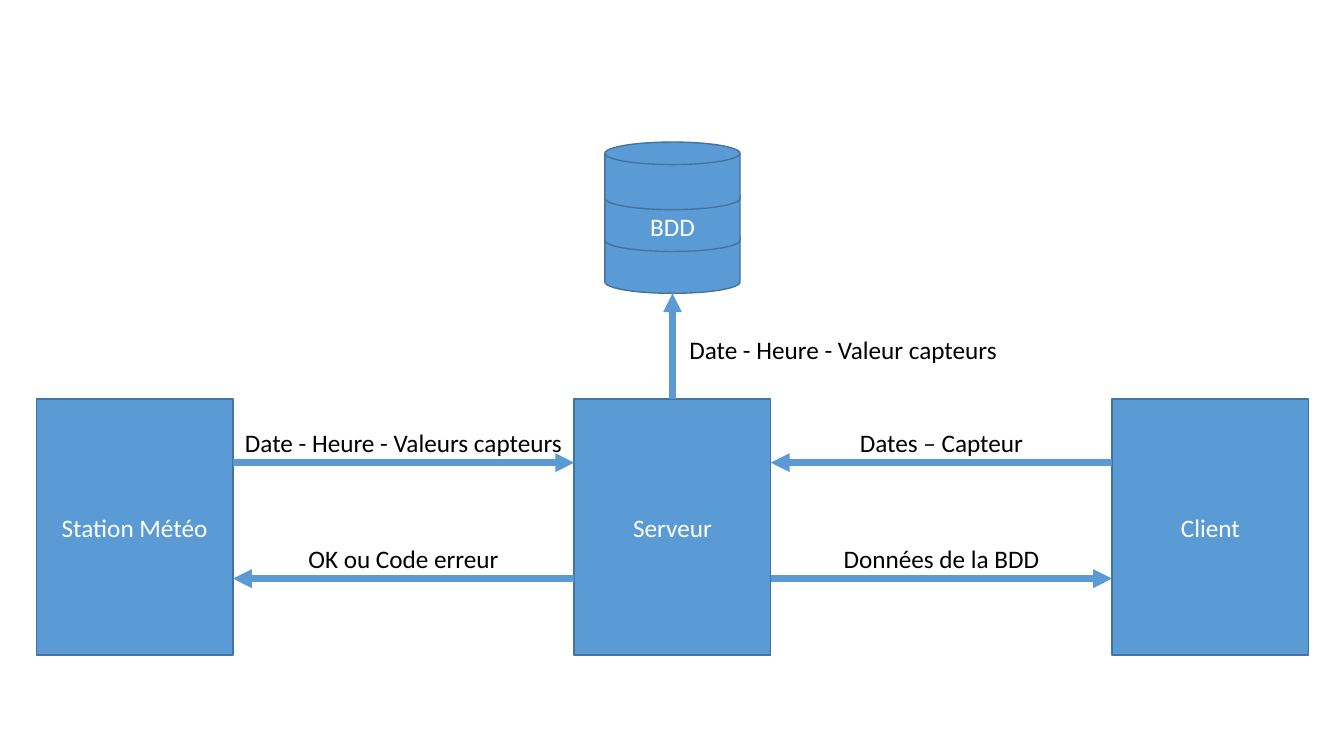
"""Draw the data flow between weather station, server, database and client."""
from lxml.etree import SubElement
from pptx import Presentation
from pptx.dml.color import RGBColor
from pptx.enum.shapes import MSO_CONNECTOR as Link, MSO_SHAPE as Shape
from pptx.enum.text import MSO_ANCHOR as Anchor, PP_ALIGN as Align
from pptx.oxml.ns import qn
from pptx.util import Inches, Pt

BLUE = RGBColor(0x5B, 0x9B, 0xD5)
EDGE = RGBColor(0x43, 0x73, 0x9E)
WHITE = RGBColor(0xFF, 0xFF, 0xFF)
BLACK = RGBColor(0, 0, 0)

NODES = ["Station Météo", "Serveur", "Client"]
FLOWS = [
    (0, 1, 4.59, "Date - Heure - Valeurs capteurs"),
    (1, 0, 5.74, "OK ou Code erreur"),
    (1, 2, 5.74, "Données de la BDD"),
    (2, 1, 4.59, "Dates – Capteur"),
]
DISKS = ["", "BDD", ""]
STORE = "Date - Heure - Valeur capteurs"

FIRST, LAST, TOP, WIDE, HIGH = 0.36, 11.03, 3.96, 1.95, 2.54
STEP = (LAST - FIRST) / (len(NODES) - 1)
GAP = STEP - WIDE
MID = FIRST + STEP + WIDE / 2
DISK_W, DISK_H, DISK_Y, DISK_GAP = 1.34, 0.67, 2.24, 0.415
LABEL_H = 0.4

deck = Presentation()
deck.slide_width, deck.slide_height = Inches(13.33), Inches(7.5)
slide = deck.slides.add_slide(deck.slide_layouts[6])
shapes = slide.shapes


def write(frame, text, color, anchor):
    frame.word_wrap = True
    frame.vertical_anchor = anchor
    para = frame.paragraphs[0]
    para.alignment = Align.CENTER
    run = para.add_run()
    run.text = text
    for key, val in {"size": Pt(18), "name": "Calibri"}.items():
        setattr(run.font, key, val)
    run.font.color.rgb = color


def block(kind, x, y, w, h, text, anchor, group=shapes):
    item = group.add_shape(kind, *map(Inches, (x, y, w, h)))
    item.shadow.inherit = False
    item.fill.solid()
    item.fill.fore_color.rgb = BLUE
    item.line.color.rgb = EDGE
    item.line.width = Pt(1)
    if text:
        write(item.text_frame, text, WHITE, anchor)
    return item


def arrow(x1, y1, x2, y2):
    item = shapes.add_connector(Link.STRAIGHT, *map(Inches, (x1, y1, x2, y2)))
    item.line.color.rgb = BLUE
    item.line.width = Pt(4.5)
    SubElement(item.line._get_or_add_ln(), qn("a:tailEnd"), type="triangle")
    SubElement(item._element.spPr, qn("a:effectLst"))
    return item


def label(x, y, text):
    box = shapes.add_textbox(*map(Inches, (x, y, GAP, LABEL_H)))
    write(box.text_frame, text, BLACK, Anchor.TOP)


nodes = [block(Shape.RECTANGLE, FIRST + i * STEP, TOP, WIDE, HIGH, name, Anchor.MIDDLE)
         for i, name in enumerate(NODES)]

for start, end, y, text in FLOWS:
    left = FIRST + min(start, end) * STEP + WIDE
    ends = (left, left + GAP) if start < end else (left + GAP, left)
    arrow(ends[0], y, ends[1], y)
    label(left, y - LABEL_H, text)

base = shapes.add_group_shape()
for i, text in enumerate(DISKS):
    block(Shape.FLOWCHART_MAGNETIC_DISK, MID - DISK_W / 2, DISK_Y - i * DISK_GAP,
          DISK_W, DISK_H, text, Anchor.TOP, base.shapes)

arrow(MID, TOP, MID, DISK_Y + DISK_H).begin_connect(nodes[1], 0)
label(MID, 3.27, STORE)

deck.save("out.pptx")
